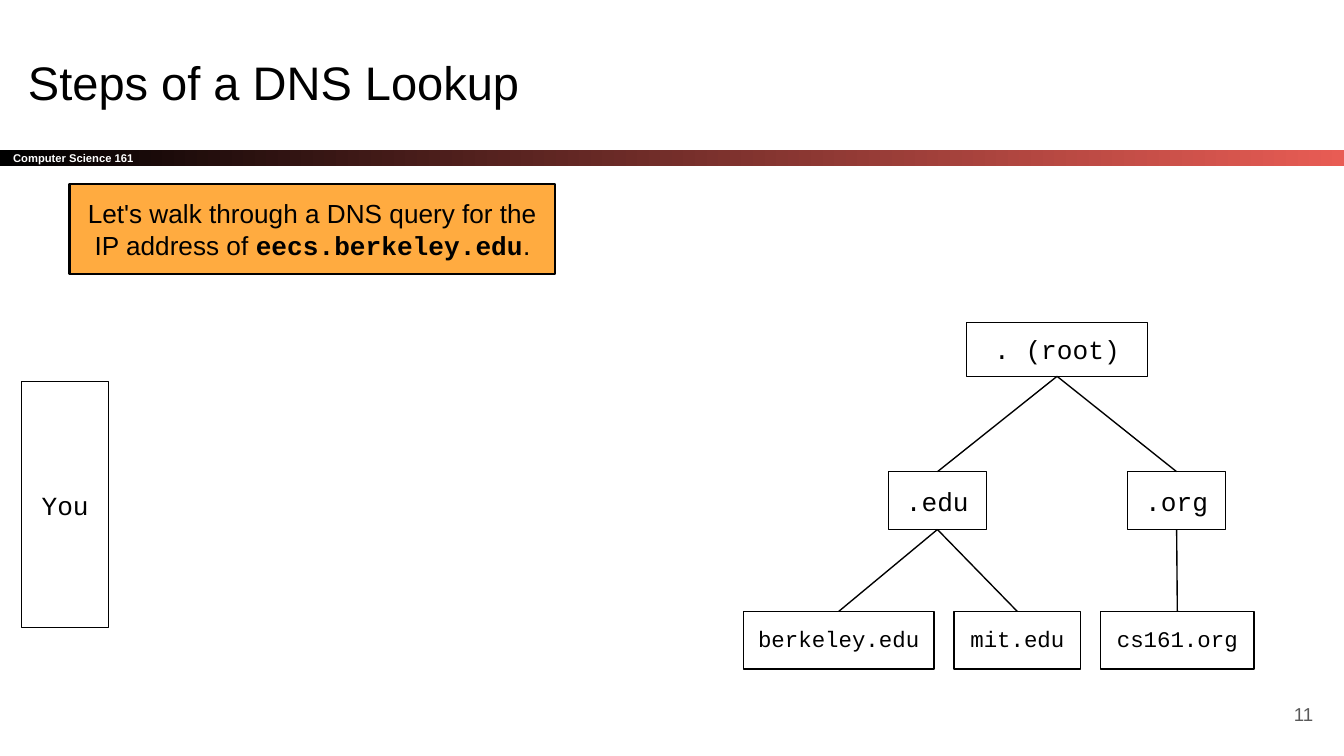
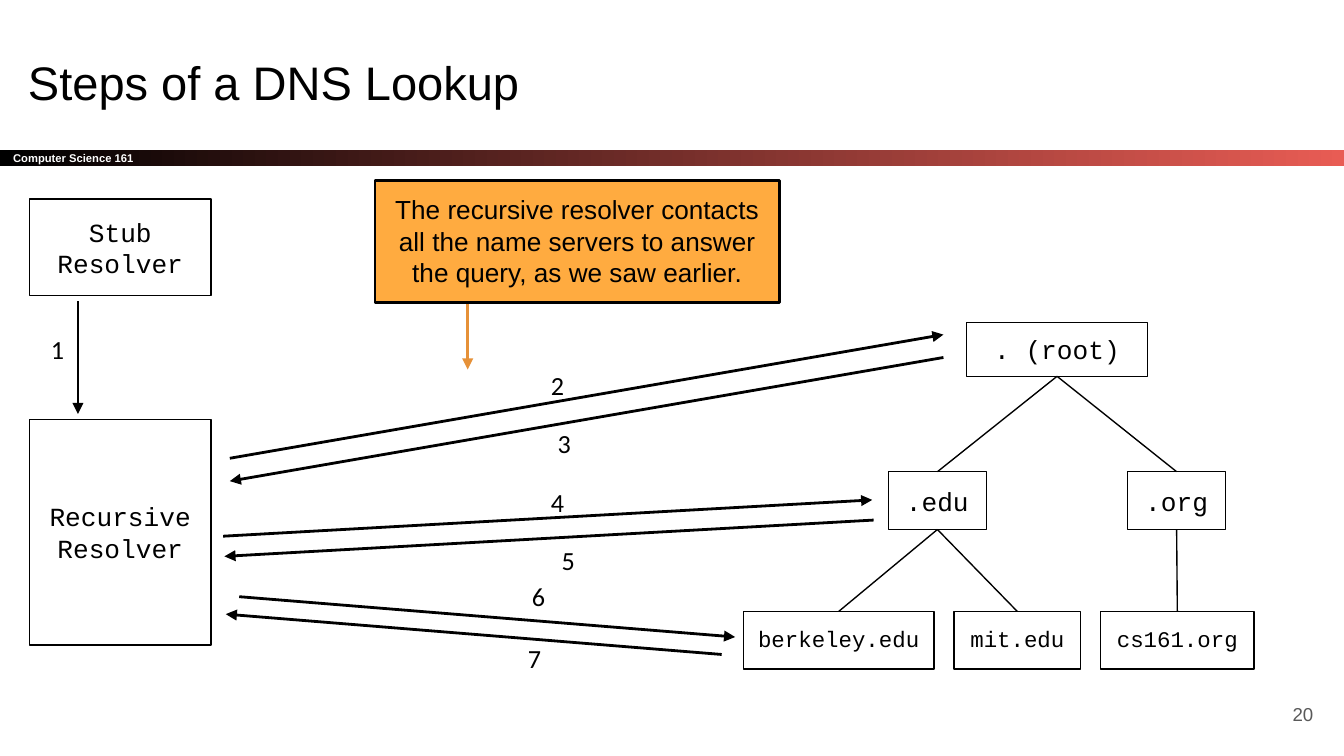
import pptx
import pptx.util
import pptx.dml.color
import pptx.enum.shapes
import pptx.enum.text
import pptx.oxml.ns
from lxml import etree

Pt = pptx.util.Pt
RGB = pptx.dml.color.RGBColor.from_string
ANCHOR = pptx.enum.text.MSO_ANCHOR
ALIGN = pptx.enum.text.PP_ALIGN
RECT = pptx.enum.shapes.MSO_SHAPE.RECTANGLE
STRAIGHT = pptx.enum.shapes.MSO_CONNECTOR.STRAIGHT
qn = pptx.oxml.ns.qn

COLORS = {"ink": "000000", "paper": "FFFFFF", "coral": "E85C54",
          "callout": "FFAB40", "pointer": "E69138", "number": "595959"}
TITLE = {"name": "Arial", "size": Pt(25.2)}
BAND = {"name": "Arial", "size": Pt(6), "bold": True}
NUMBER = {"name": "Arial", "size": Pt(10)}
NOTE = {"name": "Arial", "size": Pt(14)}
HOST = {"name": "Courier New", "size": Pt(14), "bold": True}
NODE = {"name": "Courier New", "size": Pt(14)}
LEAF = {"name": "Courier New", "size": Pt(12)}
STEP = {"name": "Calibri", "size": Pt(14)}

prs = pptx.Presentation()
prs.slide_width = pptx.util.Inches(10)
prs.slide_height = pptx.util.Inches(5.625)
COL = prs.slide_width / 100
ROW = prs.slide_height / 56.25


def box(s, at, runs, color="ink", align=ALIGN.CENTER, anchor=ANCHOR.TOP,
        fill=None, line=None):
    x, y, w, h = at
    frame = [int(v) for v in (x * COL, y * ROW, w * COL, h * ROW)]
    if fill or line:
        sp = s.shapes.add_shape(RECT, *frame)
        sp.shadow.inherit = False
        sp.fill.background()
        sp.line.fill.background()
    else:
        sp = s.shapes.add_textbox(*frame)
    if fill:
        sp.fill.solid()
        sp.fill.fore_color.rgb = RGB(COLORS[fill])
    if line:
        sp.line.color.rgb = RGB(COLORS["ink"])
        sp.line.width = Pt(line)
    tf = sp.text_frame
    layout = {"word_wrap": True, "vertical_anchor": anchor,
              "margin_left": int(COL), "margin_right": int(COL),
              "margin_top": int(ROW), "margin_bottom": int(ROW)}
    for key, value in layout.items():
        setattr(tf, key, value)
    p = tf.paragraphs[0]
    p.alignment = align
    for text, fmt in runs:
        r = p.add_run()
        r.text = text
        for key, value in fmt.items():
            setattr(r.font, key, value)
        r.font.color.rgb = RGB(COLORS[color])
    return sp


def line(s, x1, y1, x2, y2, width=1.5, color="ink", arrow=True):
    cx = s.shapes.add_connector(STRAIGHT, int(x1 * COL), int(y1 * ROW),
                                int(x2 * COL), int(y2 * ROW))
    cx.line.color.rgb = RGB(COLORS[color])
    cx.line.width = Pt(width)
    if arrow:
        etree.SubElement(cx.line._get_or_add_ln(), qn("a:tailEnd"), type="triangle")
    etree.SubElement(cx._element.spPr, qn("a:effectLst"))
    return cx


TREE = {
    ". (root)": (71.9, 24, 13.5, 4, NODE, None),
    ".edu": (66.1, 35.1, 7.3, 4.3, NODE, ". (root)"),
    ".org": (83.9, 35.1, 7.3, 4.3, NODE, ". (root)"),
    "berkeley.edu": (55.3, 45.5, 14.2, 4.3, LEAF, ".edu"),
    "mit.edu": (71, 45.5, 9.4, 4.3, LEAF, ".edu"),
    "cs161.org": (81.9, 45.5, 11.4, 4.3, LEAF, ".org"),
}
SLIDES = [
    {"number": "11",
     "machines": [("You", (1.6, 28.4, 6.5, 18.3))],
     "note": (5.2, 13.7, 36.1, 6.7),
     "runs": [("Let's walk through a DNS query for the IP address of ", NOTE),
              ("eecs.berkeley.edu", HOST), (".", NOTE)],
     "pointers": [], "steps": [], "queries": []},
    {"number": "20",
     "machines": [("Stub Resolver", (2.2, 14.8, 13.5, 7.2)),
                  ("Recursive Resolver", (2.2, 31.2, 13.5, 16.8))],
     "note": (27.9, 13.4, 30.1, 9.1),
     "runs": [("The recursive resolver contacts all the name servers to "
               "answer the query, as we saw earlier.", NOTE)],
     "pointers": [(34.8, 19.7, 34.8, 27.5)],
     "steps": [(2.8, 23.8), (40, 26.5), (40.5, 30.8), (40, 35.2),
               (40.8, 39.5), (38.6, 42.2), (38.3, 46.8)],
     "queries": [(17.1, 34.1, 70.2, 24.9, 0, 1.7),
                 (16.6, 39.9, 64.9, 37.2, 0.1, 1.5),
                 (17.8, 44.4, 54.7, 47.4, -1, 1.3)]},
]

for page in SLIDES:
    s = prs.slides.add_slide(prs.slide_layouts[6])
    s.background.fill.solid()
    s.background.fill.fore_color.rgb = RGB(COLORS["paper"])

    band = box(s, (0, 11.15, 100, 1.2), [("Computer Science 161", BAND)],
               "paper", ALIGN.LEFT, ANCHOR.MIDDLE, fill="ink")
    band.fill.gradient()
    band.fill.gradient_angle = 0
    for stop, color in zip(band.fill.gradient_stops, ("ink", "coral")):
        stop.color.rgb = RGB(COLORS[color])

    for ends in page["pointers"]:
        line(s, *ends, color="pointer")
    box(s, (1.1, 3, 93.2, 6.3), [("Steps of a DNS Lookup", TITLE)], align=ALIGN.LEFT)
    box(s, (92.7, 51, 6, 4.3), [(page["number"], NUMBER)], "number",
        ALIGN.RIGHT, ANCHOR.MIDDLE)

    nodes = {}
    for name, (x, y, w, h, fmt, parent) in TREE.items():
        anchor = ANCHOR.TOP if parent else ANCHOR.MIDDLE
        nodes[name] = box(s, (x, y, w, h), [(name, fmt)], anchor=anchor, line=0.75)
        if parent:
            px, py, pw, ph = TREE[parent][:4]
            branch = line(s, px + pw / 2, py + ph, x + w / 2, y, 0.75, arrow=False)
            branch.begin_connect(nodes[parent], 2)
            branch.end_connect(nodes[name], 0)

    for name, at in page["machines"]:
        box(s, at, [(name, NODE)], anchor=ANCHOR.MIDDLE, line=0.75)
    note = box(s, page["note"], page["runs"], fill="callout", line=1.5)
    note.text_frame.auto_size = pptx.enum.text.MSO_AUTO_SIZE.SHAPE_TO_FIT_TEXT

    if page["queries"]:
        line(s, 5.8, 22.4, 5.8, 30.8)
    for x1, y1, x2, y2, dx, dy in page["queries"]:
        line(s, x1, y1, x2, y2)
        line(s, x2 + dx, y2 + dy, x1 + dx, y1 + dy)
    for i, (x, y) in enumerate(page["steps"], 1):
        box(s, (x, y, 4.5, 4.3), [(str(i), STEP)], align=ALIGN.LEFT)

prs.save("out.pptx")
